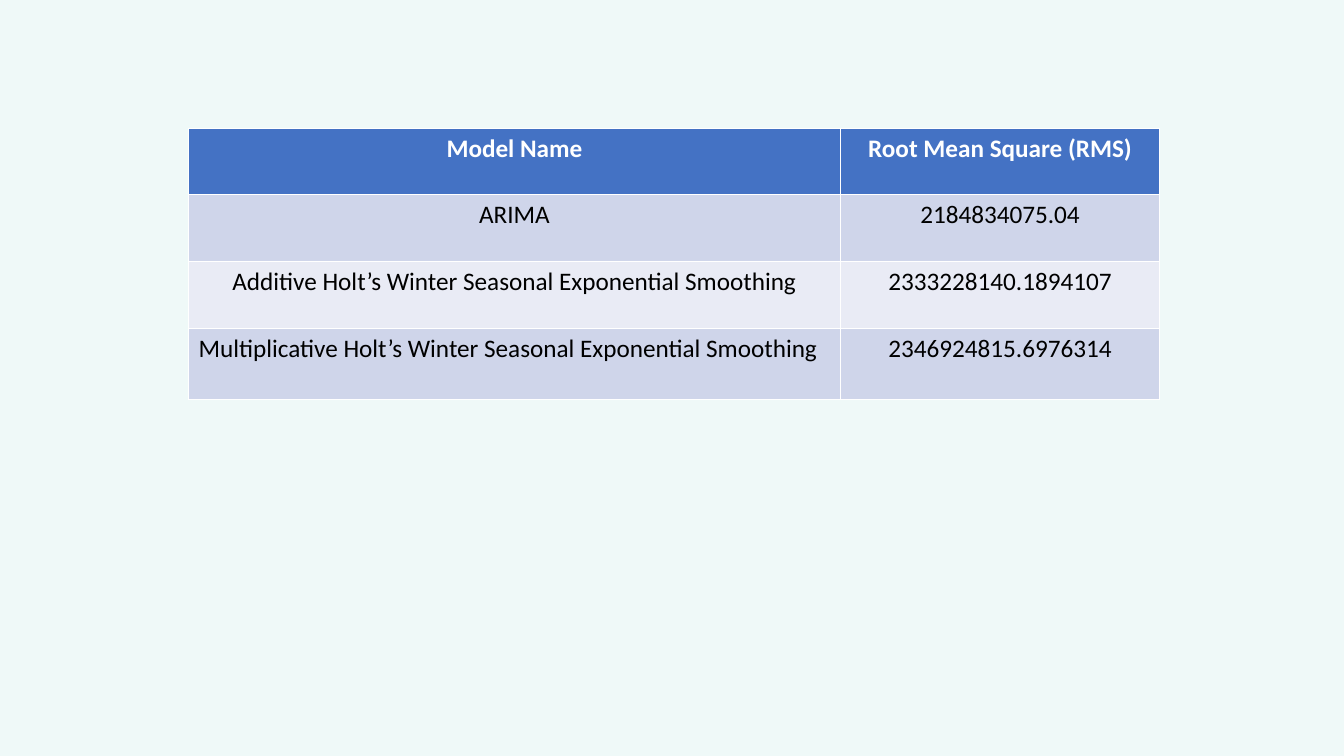
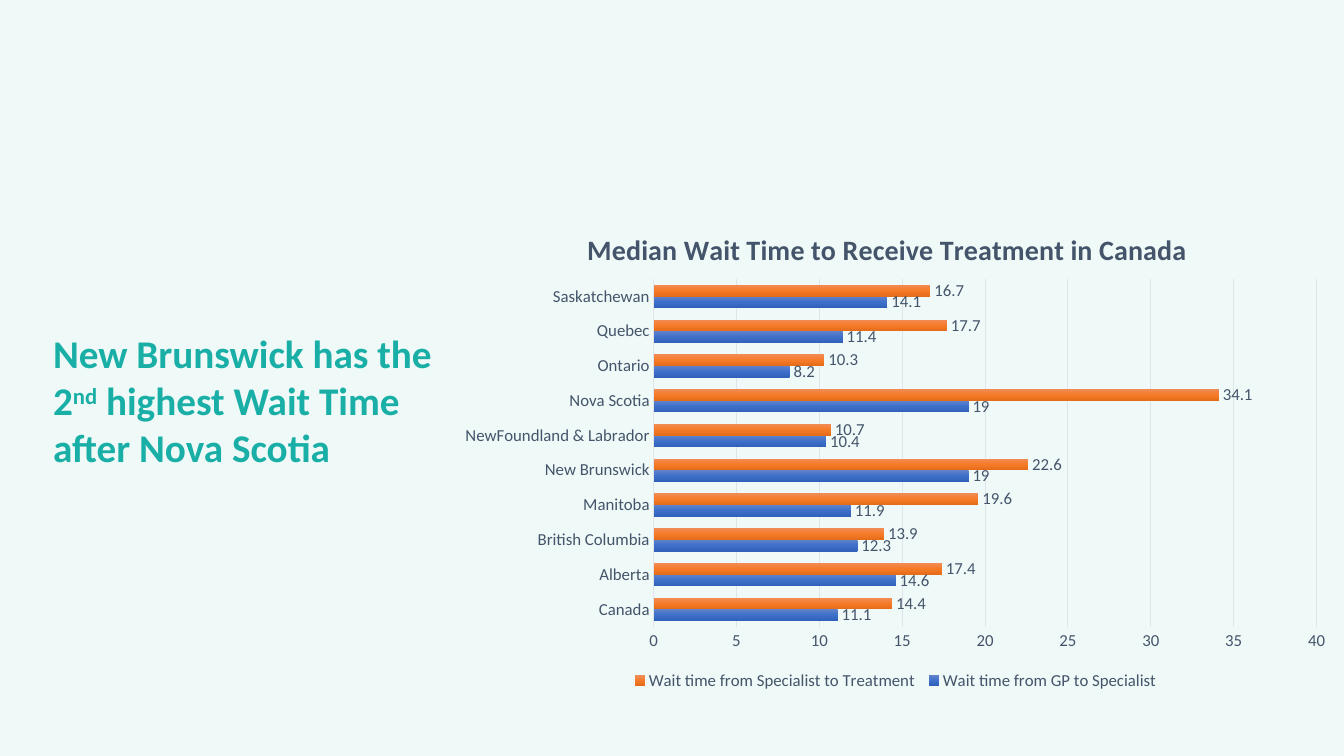
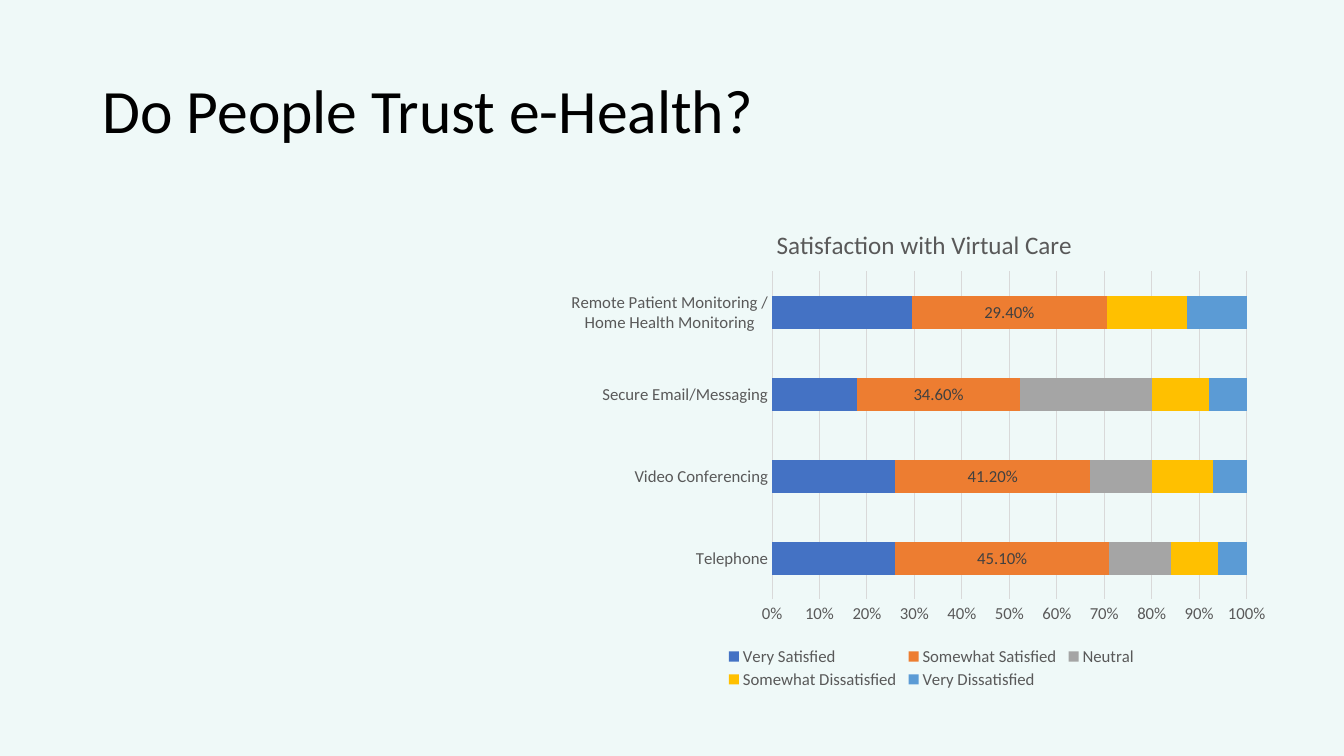
"""Build three slides on forecasting models, wait times and virtual care."""
import pptx
import pptx.chart.data
import pptx.dml.color
import pptx.enum.chart
import pptx.enum.text
import pptx.oxml
import pptx.oxml.ns
import pptx.util

Cm, Pt = pptx.util.Cm, pptx.util.Pt
ALIGN = pptx.enum.text.PP_ALIGN
CHART = pptx.enum.chart

FONT = "Calibri"
BACKGROUND, BLACK, WHITE, TEAL = "EFF9F8", "000000", "FFFFFF", "19AFA6"
HEADER_FILL, BAND_FILLS = "4472C4", ("CFD5EA", "E9EBF5")

MODEL_ROWS = [
    ("Model Name", "Root Mean Square (RMS)"),
    ("ARIMA", "2184834075.04"),
    ("Additive Holt’s Winter Seasonal Exponential Smoothing", "2333228140.1894107"),
    ("Multiplicative Holt’s Winter Seasonal Exponential Smoothing", "2346924815.6976314"),
]
MODEL_COLUMNS = (16.43, 8.05)
MODEL_HEIGHTS = (1.68, 1.68, 1.68, 1.8)

FINDING = [("New Brunswick has the 2", 0), ("nd", 30000), (" highest Wait Time after Nova Scotia", 0)]
TRUST_TITLE = "Do People Trust e-Health?"

WAIT_CHART = {
    "kind": CHART.XL_CHART_TYPE.BAR_CLUSTERED,
    "place": (11.28, 5.18, 22.58, 12.34),
    "title": ("Median Wait Time to Receive Treatment in Canada", 20, True),
    "text": "44546A", "line": "E0E5EB", "gap": 100,
    "axis_format": "General", "label_format": "General", "label_color": "44546A",
    "label_position": CHART.XL_LABEL_POSITION.OUTSIDE_END,
    "layouts": {"title": (0.15, 0.04), "plot": (0.23, 0.15, 0.74, 0.71), "legend": (0.2, 0.94, 0.6, 0.06)},
    "scale": (40, 5),
    "categories": ["Canada", "Alberta", "British Columbia", "Manitoba", "New Brunswick",
                   "NewFoundland & Labrador", "Nova Scotia", "Ontario", "Quebec", "Saskatchewan"],
    "series": [
        ("Wait time from GP to Specialist", ("6183CB", "3E70CA", "3062BB"), True,
         [11.1, 14.6, 12.3, 11.9, 19, 10.4, 19, 8.2, 11.4, 14.1]),
        ("Wait time from Specialist to Treatment", ("F18C57", "F67B28", "E56C19"), True,
         [14.4, 17.4, 13.9, 19.6, 22.6, 10.7, 34.1, 10.3, 17.7, 16.7]),
    ],
}
CARE_CHART = {
    "kind": CHART.XL_CHART_TYPE.BAR_STACKED_100,
    "place": (14.4, 5.11, 17.91, 12.34),
    "title": ("Satisfaction with Virtual Care", 18, False),
    "text": "595959", "line": "D9D9D9", "gap": 150,
    "axis_format": "0%", "label_format": "0.00%", "label_color": "404040",
    "label_position": CHART.XL_LABEL_POSITION.CENTER,
    "layouts": {"title": (0.28, 0.04), "plot": (0.28, 0.14, 0.67, 0.67), "legend": (0.21, 0.9, 0.59, 0.1)},
    "scale": None,
    "categories": ["Telephone", "Video Conferencing", "Secure Email/Messaging",
                   "Remote Patient Monitoring / Home Health Monitoring"],
    "series": [
        ("Very Satisfied", ("4472C4",), False, [0.26, 0.26, 0.18, 0.21]),
        ("Somewhat Satisfied", ("ED7D31",), True, [0.451, 0.412, 0.346, 0.294]),
        ("Neutral", ("A5A5A5",), False, [0.13, 0.13, 0.28, 0]),
        ("Somewhat Dissatisfied", ("FFC000",), False, [0.1, 0.13, 0.12, 0.12]),
        ("Very Dissatisfied", ("5B9BD5",), False, [0.06, 0.07, 0.08, 0.09]),
    ],
}


def color(value):
    return pptx.dml.color.RGBColor.from_string(value)


def fill_solid(target, value):
    target.fill.solid()
    target.fill.fore_color.rgb = color(value)


def style_font(font, size, value, bold=False):
    font.name, font.size, font.bold = FONT, Pt(size), bold
    font.color.rgb = color(value)


def add_span(para, text, size, value, bold=False):
    span = para.add_run()
    span.text = text
    style_font(span.font, size, value, bold)
    return span


def style_line(line, value):
    line.color.rgb = color(value)
    line.width = Pt(0.75)


def set_layout(element, fractions, inner=False):
    for old in element.findall(pptx.oxml.ns.qn("c:layout")):
        element.remove(old)
    target = '<c:layoutTarget val="inner"/>' if inner else ""
    modes = '<c:xMode val="edge"/><c:yMode val="edge"/>'
    sizes = "".join(f'<c:{key} val="{value}"/>' for key, value in zip("xywh", fractions))
    layout = pptx.oxml.parse_xml(
        f'<c:layout {pptx.oxml.ns.nsdecls("c")}><c:manualLayout>{target}{modes}{sizes}'
        "</c:manualLayout></c:layout>")
    overlay = element.find(pptx.oxml.ns.qn("c:overlay"))
    if overlay is None:
        element.insert(0, layout)
    else:
        overlay.addprevious(layout)


def fill_gradient(series, colors):
    stops = "".join(
        f'<a:gs pos="{index * 100000 // (len(colors) - 1)}"><a:srgbClr val="{value}"/></a:gs>'
        for index, value in enumerate(colors))
    series._element.get_or_add_spPr().append(pptx.oxml.parse_xml(
        f'<a:gradFill {pptx.oxml.ns.nsdecls("a")} rotWithShape="1"><a:gsLst>{stops}</a:gsLst>'
        '<a:lin ang="5400000" scaled="0"/></a:gradFill>'))


def style_axes(chart, content):
    for axis in (chart.category_axis, chart.value_axis):
        axis.major_tick_mark = axis.minor_tick_mark = CHART.XL_TICK_MARK.NONE
        style_font(axis.tick_labels.font, 12, content["text"])
    chart.category_axis.has_major_gridlines = False
    style_line(chart.category_axis.format.line, content["line"])
    values = chart.value_axis
    values.has_major_gridlines = True
    style_line(values.major_gridlines.format.line, content["line"])
    values.format.line.fill.background()
    values.tick_labels.number_format = content["axis_format"]
    values.tick_labels.number_format_is_linked = False
    if content["scale"]:
        values.minimum_scale = 0
        values.maximum_scale, values.major_unit = content["scale"]


def style_series(series, colors, labelled, content):
    series.invert_if_negative = False
    if len(colors) > 1:
        fill_gradient(series, colors)
    else:
        fill_solid(series.format, colors[0])
    if labelled:
        labels = series.data_labels
        labels.show_value = True
        labels.number_format = content["label_format"]
        labels.number_format_is_linked = False
        labels.position = content["label_position"]
        style_font(labels.font, 12, content["label_color"])


def add_bar_chart(page, content):
    data = pptx.chart.data.CategoryChartData()
    data.categories = content["categories"]
    for name, _, _, values in content["series"]:
        data.add_series(name, values)
    chart = page.shapes.add_chart(content["kind"], *map(Cm, content["place"]), data).chart
    style_font(chart.font, 10, BLACK)
    title, size, bold = content["title"]
    chart.has_title = True
    add_span(chart.chart_title.text_frame.paragraphs[0], title, size, content["text"], bold)
    chart.has_legend = True
    chart.legend.position = CHART.XL_LEGEND_POSITION.BOTTOM
    chart.legend.include_in_layout = False
    style_font(chart.legend.font, 12, content["text"])
    plot = chart.plots[0]
    plot.gap_width = content["gap"]
    plot.vary_by_categories = False
    for series, (_, colors, labelled, _) in zip(plot.series, content["series"]):
        style_series(series, colors, labelled, content)
    style_axes(chart, content)
    layouts = content["layouts"]
    set_layout(chart.chart_title._element, layouts["title"])
    set_layout(chart.legend._element, layouts["legend"])
    set_layout(chart._chartSpace.chart.plotArea, layouts["plot"], inner=True)


def add_model_table(page):
    table = page.shapes.add_table(
        len(MODEL_ROWS), len(MODEL_COLUMNS), Cm(4.75), Cm(3.23),
        Cm(sum(MODEL_COLUMNS)), Cm(sum(MODEL_HEIGHTS))).table
    for column, width in zip(table.columns, MODEL_COLUMNS):
        column.width = Cm(width)
    for row, height in zip(table.rows, MODEL_HEIGHTS):
        row.height = Cm(height)
    last = len(MODEL_ROWS) - 1
    for row_index, texts in enumerate(MODEL_ROWS):
        header = row_index == 0
        for column_index, text in enumerate(texts):
            cell = table.cell(row_index, column_index)
            fill_solid(cell, HEADER_FILL if header else BAND_FILLS[(row_index - 1) % 2])
            para = cell.text_frame.paragraphs[0]
            para.alignment = ALIGN.LEFT if (row_index, column_index) == (last, 0) else ALIGN.CENTER
            add_span(para, text, 18, WHITE if header else BLACK, header)


def add_finding(page):
    box = page.shapes.add_textbox(Cm(1.09), Cm(8.18), Cm(10.21), Cm(3.84))
    frame = box.text_frame
    frame.word_wrap = True
    frame.auto_size = pptx.enum.text.MSO_AUTO_SIZE.SHAPE_TO_FIT_TEXT
    for text, baseline in FINDING:
        span = add_span(frame.paragraphs[0], text, 28, TEAL, True)
        if baseline:
            span.font._element.set("baseline", str(baseline))


def set_title(page, text):
    title = page.shapes.title
    title.left, title.top, title.width, title.height = map(Cm, (2.33, 1.01, 29.21, 3.68))
    title.text_frame.vertical_anchor = pptx.enum.text.MSO_ANCHOR.MIDDLE
    para = title.text_frame.paragraphs[0]
    para.alignment = ALIGN.LEFT
    para.line_spacing = 0.9
    add_span(para, text, 44, BLACK)


def main():
    deck = pptx.Presentation()
    deck.slide_width, deck.slide_height = Cm(33.87), Cm(19.05)
    fill_solid(deck.slide_master.background, BACKGROUND)
    title_only, blank = deck.slide_layouts[5], deck.slide_layouts[6]

    add_model_table(deck.slides.add_slide(blank))

    wait_page = deck.slides.add_slide(blank)
    add_bar_chart(wait_page, WAIT_CHART)
    add_finding(wait_page)

    trust_page = deck.slides.add_slide(title_only)
    set_title(trust_page, TRUST_TITLE)
    add_bar_chart(trust_page, CARE_CHART)

    deck.save("out.pptx")


if __name__ == "__main__":
    main()
